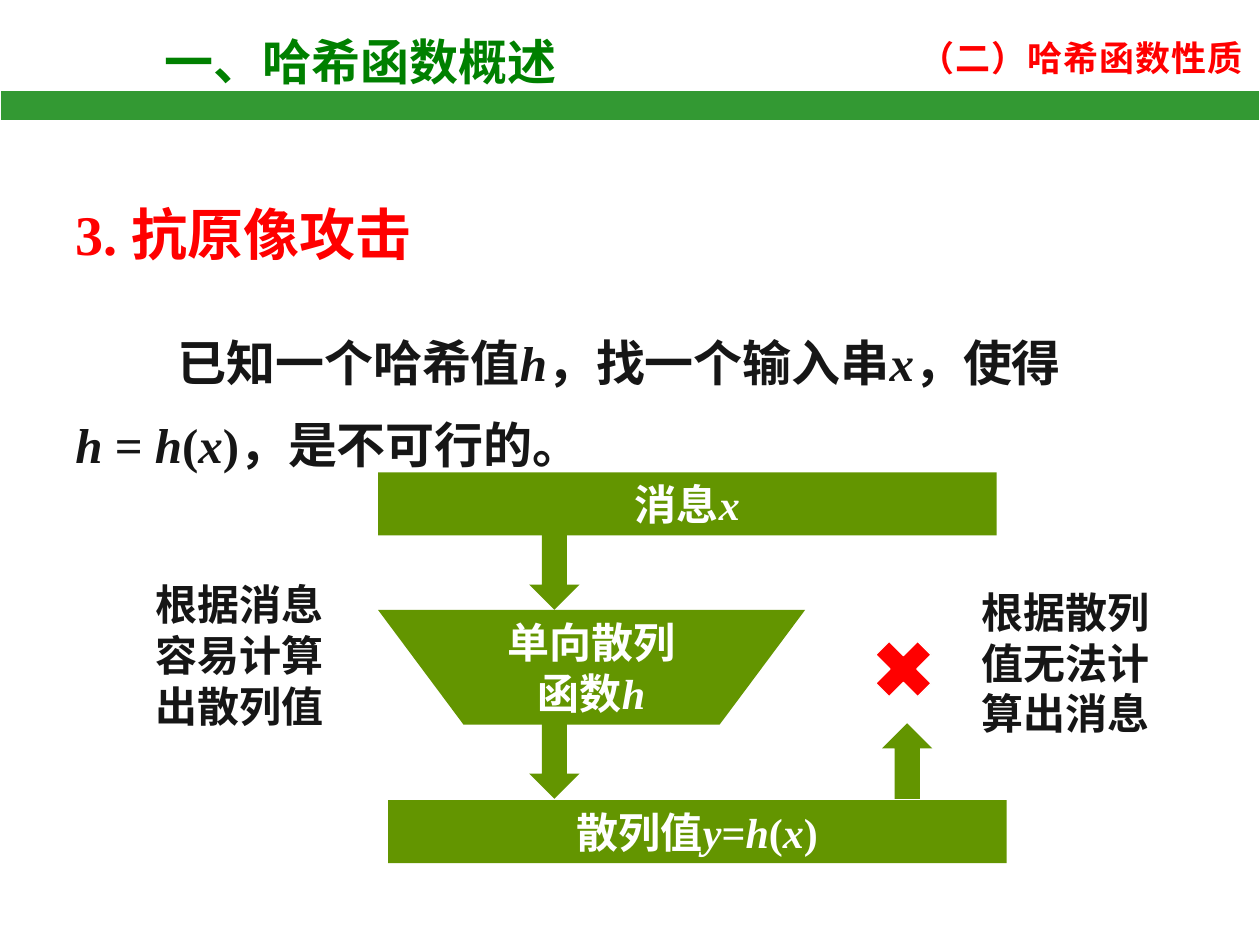
from dataclasses import dataclass

from lxml.etree import SubElement
from pptx import Presentation
from pptx.dml.color import RGBColor
from pptx.enum.shapes import MSO_SHAPE
from pptx.enum.text import MSO_ANCHOR, PP_ALIGN
from pptx.oxml.ns import qn
from pptx.util import Inches, Pt


@dataclass(frozen=True)
class Theme:
    white: str = "FFFFFF"
    ink: str = "161616"
    red: str = "FF0000"
    title: str = "008000"
    bar: str = "339933"
    block: str = "639500"
    latin: str = "Times New Roman"
    cjk: str = "Noto Sans CJK SC"
    heading: int = 32
    body: int = 28
    label: int = 24
    corner: int = 20
    body_line: int = 41
    label_line: int = 29


class SlideBuilder:
    """Places elements on a grid of 100 columns by 75 rows."""

    def __init__(self, prs, theme):
        self.theme = theme
        self.slide = prs.slides.add_slide(prs.slide_layouts[6])
        self.col = prs.slide_width / 100
        self.row = prs.slide_height / 75

    def place(self, left, top, width, height):
        return (round(left * self.col), round(top * self.row),
                round(width * self.col), round(height * self.row))

    def add_runs(self, p, text, size, color, line=None, spacing=0):
        """Add runs to a paragraph; parts between asterisks are italic."""
        if line:
            p.line_spacing = Pt(line)
        for i, part in enumerate(text.split("*")):
            if not part:
                continue
            r = p.add_run()
            r.text = part
            font = r.font
            font.size, font.bold, font.italic = Pt(size), True, i % 2 == 1
            font.color.rgb = RGBColor.from_string(color)
            font.name = self.theme.latin
            rPr = r._r.get_or_add_rPr()
            SubElement(rPr, qn("a:ea"), typeface=self.theme.cjk)
            if spacing:
                rPr.set("spc", str(round(spacing * 100)))

    def label(self, tf, lines, color):
        """Fill a text frame with centred label lines."""
        tf.word_wrap = True
        tf.vertical_anchor = MSO_ANCHOR.MIDDLE
        for i, text in enumerate(lines):
            p = tf.add_paragraph() if i else tf.paragraphs[0]
            p.alignment = PP_ALIGN.CENTER
            self.add_runs(p, text, self.theme.label, color, self.theme.label_line)

    def text_box(self, box, wrap=True, anchor=MSO_ANCHOR.MIDDLE):
        tf = self.slide.shapes.add_textbox(*self.place(*box)).text_frame
        tf.word_wrap = wrap
        tf.vertical_anchor = anchor
        return tf

    def title(self, box, text, size, color, wrap=True, spacing=0):
        tf = self.text_box(box, wrap)
        self.add_runs(tf.paragraphs[0], text, size, color, spacing=spacing)

    def note(self, box, text):
        self.label(self.text_box(box), [text], self.theme.ink)

    def shape(self, kind, box, fill, lines=(), outline=None, rotation=0):
        sp = self.slide.shapes.add_shape(kind, *self.place(*box))
        sp.shadow.inherit = False
        sp.rotation = rotation
        sp.fill.solid()
        sp.fill.fore_color.rgb = RGBColor.from_string(fill)
        if outline:
            sp.line.color.rgb = RGBColor.from_string(outline)
            sp.line.width = Pt(0.75)
        else:
            sp.line.fill.background()
        if lines:
            self.label(sp.text_frame, lines, self.theme.white)

    def arrow(self, left, top, rotation=0):
        self.shape(MSO_SHAPE.DOWN_ARROW, (left, top, 4, 6), self.theme.block, rotation=rotation)

    def body(self, box, heading, lines):
        t = self.theme
        tf = self.text_box(box, anchor=MSO_ANCHOR.TOP)
        p = tf.paragraphs[0]
        p.space_after = Pt(18)
        self.add_runs(p, heading, t.heading, t.red, t.body_line)
        for i, text in enumerate(lines):
            p = tf.add_paragraph()
            p.space_before = Pt(6 if i else 12)
            if i == 0:
                p._p.get_or_add_pPr().set("indent", str(Inches(0.81)))
            self.add_runs(p, text, t.body, t.ink, t.body_line)


def main():
    prs = Presentation()
    prs.slide_width, prs.slide_height = Inches(10), Inches(7.5)
    t = Theme()
    s = SlideBuilder(prs, t)

    s.title((72, 2.4, 28.1, 4.4), "（二）哈希函数性质", t.corner, t.red, wrap=False, spacing=0.5)
    s.title((12.1, 2, 44.7, 5.7), "一、哈希函数概述", t.body, t.title)
    s.shape(MSO_SHAPE.RECTANGLE, (0, 7.2, 100, 2.4), t.bar, outline=t.white)

    s.body((5, 15, 90, 23), "3. 抗原像攻击",
           ["已知一个哈希值*h*，找一个输入串*x*，使得",
            "*h* = *h*(*x*)，是不可行的。"])

    s.shape(MSO_SHAPE.RECTANGLE, (30, 37.5, 49.1, 5), t.block, ["消息*x*"])
    s.shape(MSO_SHAPE.FLOWCHART_MANUAL_OPERATION, (30, 48.4, 33.9, 9.1), t.block,
            ["单向散列", "函数*h*"])
    s.shape(MSO_SHAPE.RECTANGLE, (30.8, 63.5, 49.1, 5), t.block, ["散列值*y*=*h*(*x*)"])

    s.arrow(42, 42.4)
    s.arrow(42, 57.4)
    s.arrow(70, 57.4, rotation=180)
    s.shape(MSO_SHAPE.MATH_MULTIPLY, (68.5, 49.9, 6.4, 6.4), t.red, outline=t.white)

    s.note((10, 45.4, 18, 13.1), "根据消息容易计算出散列值")
    s.note((76.3, 46, 16.6, 13.1), "根据散列值无法计算出消息")

    prs.save("out.pptx")


if __name__ == "__main__":
    main()
